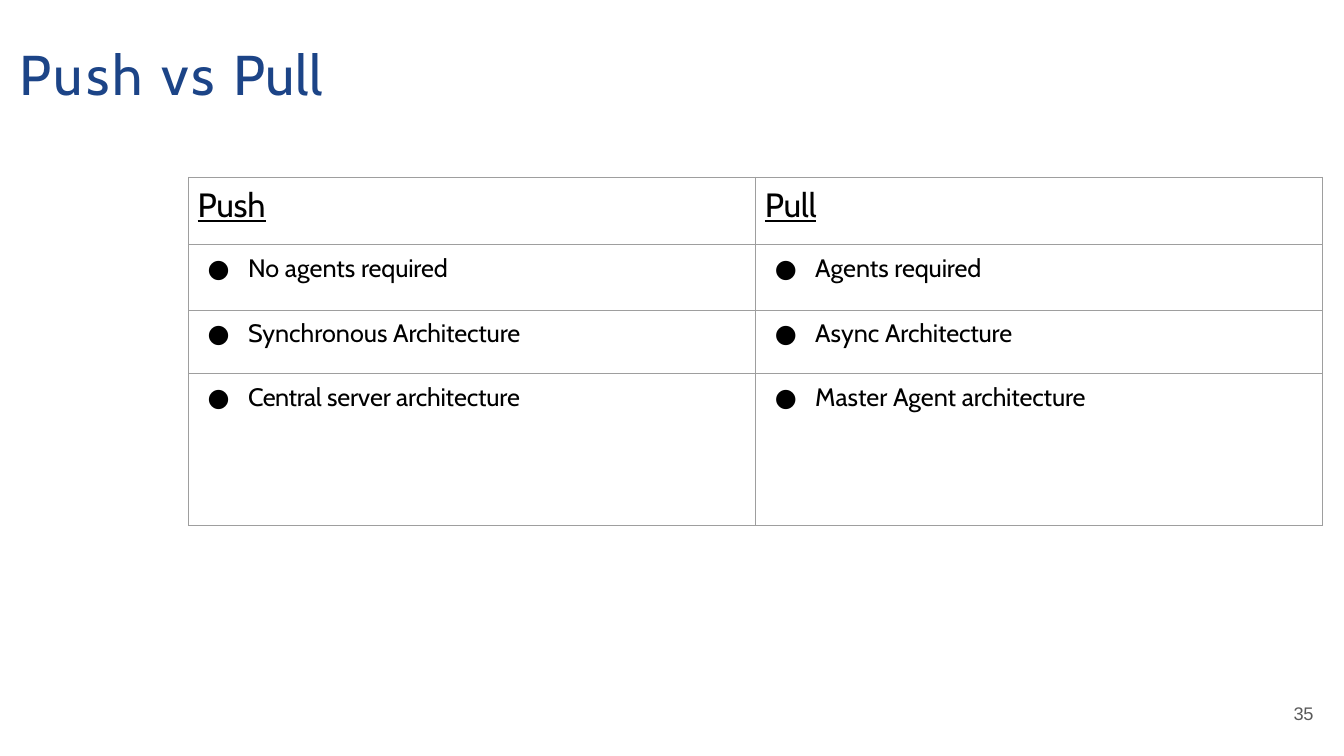
from dataclasses import dataclass

from lxml.etree import SubElement
from pptx import Presentation
from pptx.dml.color import RGBColor as RGB
from pptx.oxml import parse_xml
from pptx.oxml.ns import nsdecls, qn
from pptx.util import Inches, Pt


@dataclass(frozen=True)
class Theme:
    heading_font: str = "Cabin"
    number_font: str = "Arial"
    title: str = "1C4487"
    text: str = "000000"
    muted: str = "595959"
    border: str = "9E9E9E"
    title_size: int = 40
    header_size: int = 24
    body_size: int = 18
    number_size: int = 13
    border_width: float = 0.75


def write(p, runs, *, font, size, color, underline=False, indent=0,
          hanging=0, bullet=None, line_pt=None):
    """Fill a paragraph with (text, letter spacing in points) runs."""
    ppr = p._p.get_or_add_pPr()
    ppr.set("marL", str(Inches(indent)))
    ppr.set("indent", str(-Inches(hanging)))
    if line_pt:
        p.line_spacing = Pt(line_pt)
    if bullet:
        SubElement(ppr, qn("a:buFont"), typeface=font)
        SubElement(ppr, qn("a:buChar"), char=bullet)
        tabs = SubElement(ppr, qn("a:tabLst"))
        SubElement(tabs, qn("a:tab"), pos=str(Inches(indent)), algn="l")
    for text, spacing in runs:
        r = p.add_run()
        r.text = text
        r.font.name = font
        r.font.size = Pt(size)
        r.font.underline = underline
        r.font.color.rgb = RGB.from_string(color)
        r._r.get_or_add_rPr().set("spc", str(round(spacing * 100)))


class SlideBuilder:
    """Places elements on a grid of 100 columns by 100 rows."""

    def __init__(self, prs, theme):
        self.theme = theme
        self.col = prs.slide_width / 100
        self.row = prs.slide_height / 100
        self.s = prs.slides.add_slide(prs.slide_layouts[6])

    def box(self, left, top, width, height):
        return (round(left * self.col), round(top * self.row),
                round(width * self.col), round(height * self.row))

    def text(self, area, runs, top_inset=0, **fmt):
        tf = self.s.shapes.add_textbox(*self.box(*area)).text_frame
        tf.word_wrap = True
        tf.margin_left = tf.margin_right = tf.margin_bottom = 0
        tf.margin_top = Inches(top_inset)
        write(tf.paragraphs[0], runs, **fmt)

    def table(self, left, top, width, heights, rows):
        t = self.theme
        area = self.box(left, top, width, sum(heights))
        table = self.s.shapes.add_table(len(rows), len(rows[0]), *area).table
        table.first_row = table.horz_banding = False
        for i, (height, row) in enumerate(zip(heights, rows)):
            table.rows[i].height = round(height * self.row)
            for j, runs in enumerate(row):
                cell = table.cell(i, j)
                self.frame(cell)
                if i == 0:
                    fmt = dict(size=t.header_size, underline=True, indent=0.09)
                else:
                    fmt = dict(size=t.body_size, indent=0.59, hanging=0.4,
                               bullet="●")
                write(cell.text_frame.paragraphs[0], runs,
                      font=t.heading_font, color=t.text, **fmt)

    def frame(self, cell):
        """Clear the cell's fill, set its insets and draw its borders."""
        t = self.theme
        cell.margin_left = cell.margin_right = cell.margin_bottom = 0
        cell.margin_top = Inches(0.08)
        cell.fill.background()
        for n, side in enumerate("LRTB"):
            cell._tc.get_or_add_tcPr().insert(n, parse_xml(
                f'<a:ln{side} {nsdecls("a")} w="{Pt(t.border_width)}">'
                f'<a:solidFill><a:srgbClr val="{t.border}"/></a:solidFill>'
                f'</a:ln{side}>'))


def main():
    prs = Presentation()
    prs.slide_width, prs.slide_height = Inches(13.33), Inches(7.5)
    t = Theme()
    slide = SlideBuilder(prs, t)

    # Title
    slide.text((1.35, 5.07, 30.6, 18.13),
               [("Push ", 2.2), ("vs ", 2), ("Pull", 0.5)], top_inset=0.01,
               font=t.heading_font, size=t.title_size, color=t.title,
               indent=0.01)

    # Slide number
    slide.text((95.2, 92.93, 3, 3.07), [("35", -0.2)], font=t.number_font,
               size=t.number_size, color=t.muted, indent=0.14, line_pt=15.3)

    # Comparison table
    slide.table(14.03, 23.47, 84.4, [8.93, 8.67, 8.4, 20], [
        [[("Push", -0.2)], [("Pull", -0.2)]],
        [[("No agents ", 0), ("required", -0.1)],
         [("Agents ", 0), ("required", -0.1)]],
        [[("Synchronous ", 0), ("Architecture", -0.1)],
         [("Async ", 0), ("Architecture", -0.1)]],
        [[("Central ", -0.3), ("server architecture", -0.1)],
         [("Master Agent ", 0), ("architecture", -0.1)]],
    ])

    prs.save("out.pptx")


if __name__ == "__main__":
    main()
